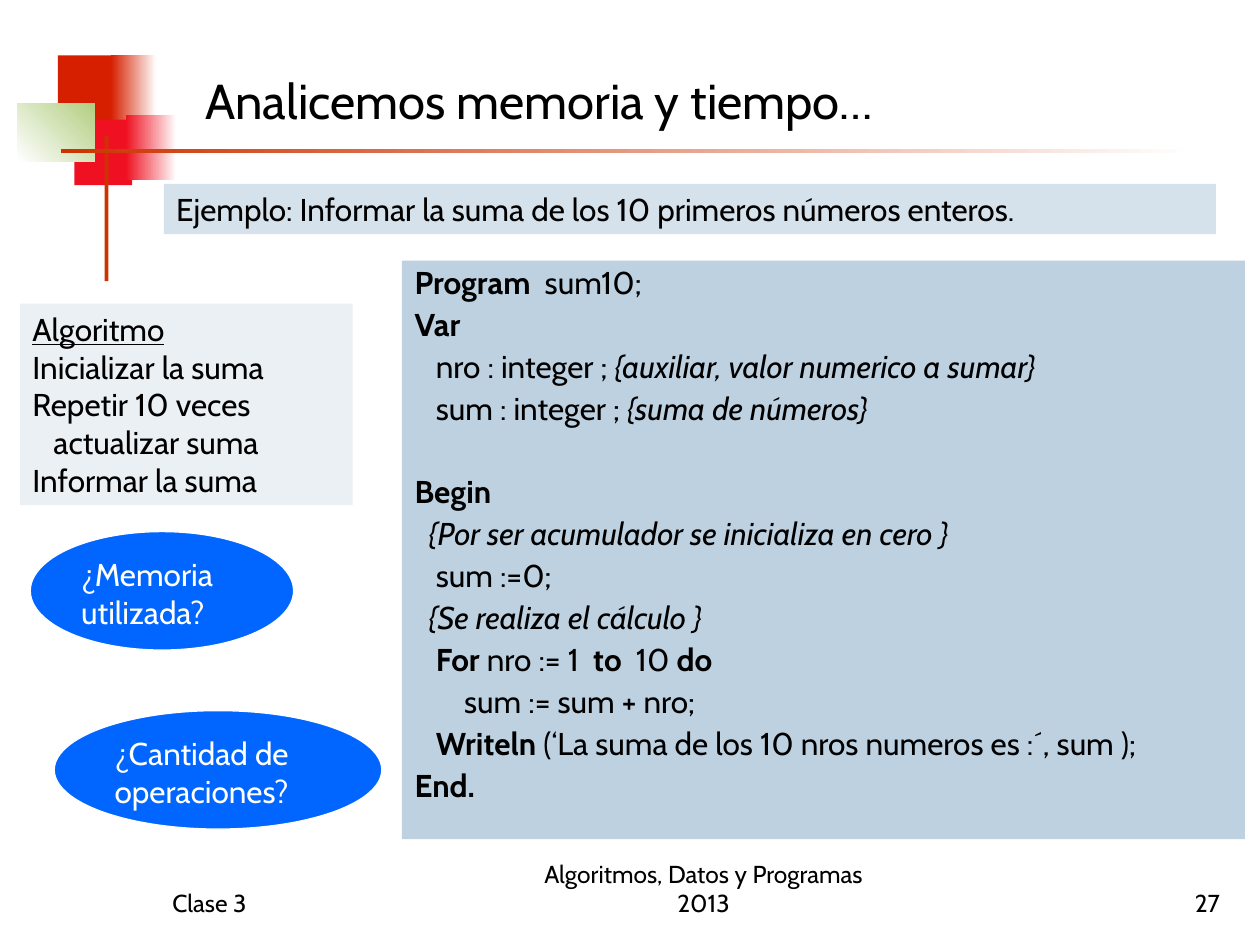
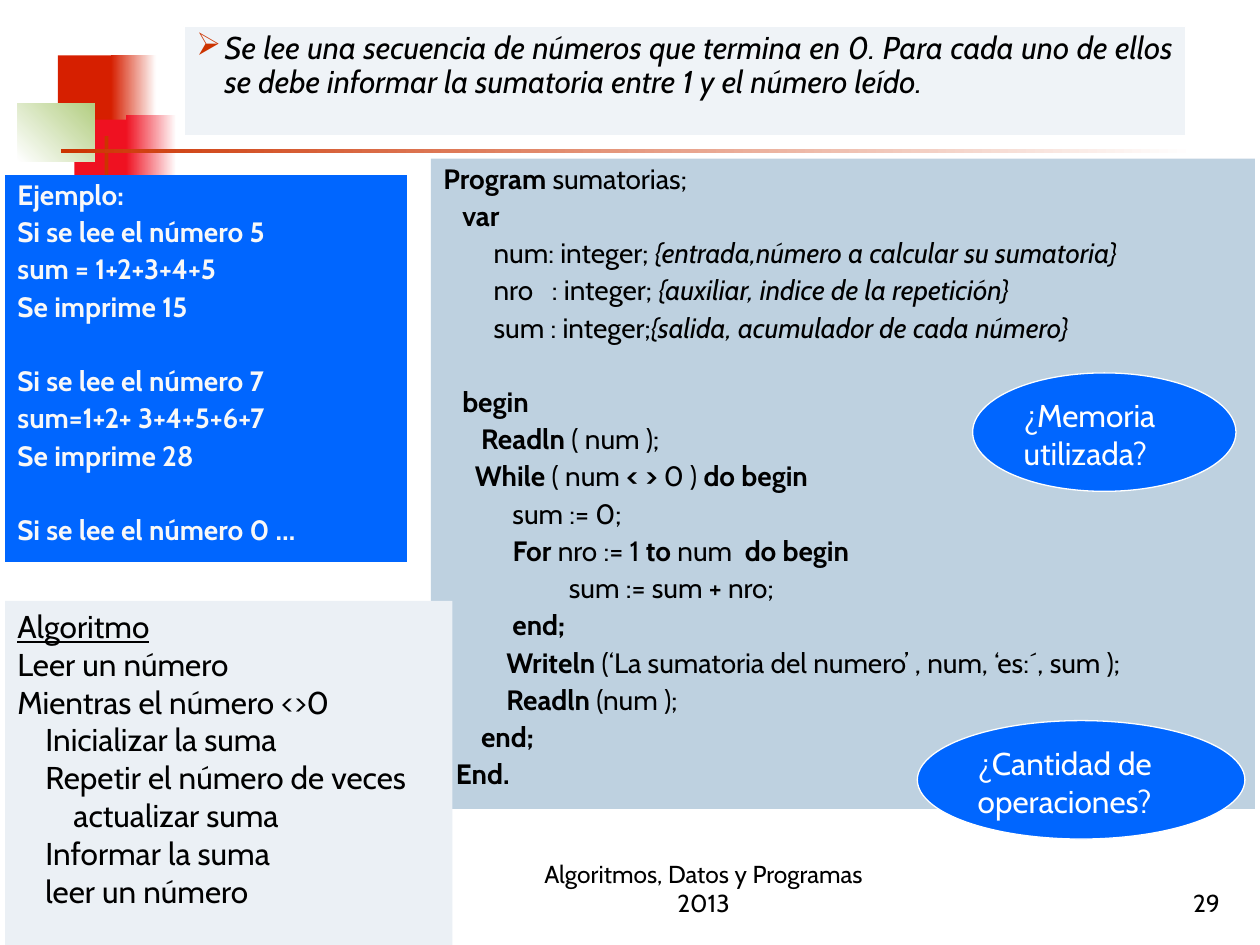
from pptx import Presentation
from pptx.dml.color import RGBColor
from pptx.enum.shapes import MSO_SHAPE as Shape
from pptx.enum.text import MSO_ANCHOR as Anchor, MSO_AUTO_SIZE as AutoSize, PP_ALIGN as Align
from pptx.oxml.ns import qn
from pptx.util import Pt
from lxml.etree import SubElement

FONT = "Cabin"
COLORS = {
    "black": "000000", "white": "FFFFFF", "off_white": "F8F8F8",
    "orange_red": "D61F00", "red": "EF1121", "green": "B3CE82", "rust": "CC3300",
    "code": "BED1E0", "example": "D5E1EB", "algorithm": "EBF0F5",
    "statement": "EFF3F7", "blue": "0066FF",
}
RGB = {name: RGBColor.from_string(value) for name, value in COLORS.items()}

# Left, top, width, height, gradient start, gradient end (None for a plain fill), angle
DECORATIONS = [
    (33.1, 31.7, 34.6, 37.4, "orange_red", None, 0),
    (63.4, 31.7, 25.9, 37.4, "orange_red", "white", 0),
    (42.5, 68.4, 33.1, 37.4, "red", None, 0),
    (72, 65.5, 28.8, 37.4, "red", "white", 0),
    (10.1, 59, 43.9, 33.1, "white", "green", 45),
    (59.8, 77.8, 2.2, 82.8, "rust", None, 0),
    (34.6, 85, 648, 2.2, "rust", "white", 0),
]
FOOTER_TOP, FOOTER_HEIGHT = 491.8, 36
COURSE = "Algoritmos, Datos y Programas 2013"

SUM_PROGRAM = """*Program*  sum10;
*Var*
   nro : integer ; *{auxiliar, valor numerico a sumar}*
   sum : integer ; *{suma de números}*

*Begin*
  *{Por ser acumulador se inicializa en cero }*
   sum :=0;
  *{Se realiza el cálculo }*
   *For* nro := 1  *to*  10 *do*
       sum := sum + nro;
   *Writeln* (‘La suma de los 10 nros numeros es :´, sum );
*End.*"""

SUMMATIONS_PROGRAM = """*Program* sumatorias;
*   var*
        num: integer; *{entrada,número a calcular su sumatoria}*
        nro   : integer; *{auxiliar, indice de la repetición}*
        sum : integer;*{salida, acumulador de cada número}*

   *begin*
*      Readln* ( num );
     *While* ( num* < > *0 ) *do begin*
           sum := 0;
           *For* nro := 1 *to* num  *do begin*
                    sum := sum + nro;
*           end;*
          *Writeln* (‘La sumatoria del numero’ , num, ‘es:´, sum );
          *Readln* (num );
*      end;*
  *End.*"""

SUM_ALGORITHM = """Algoritmo
Inicializar la suma
Repetir 10 veces
   actualizar suma
Informar la suma"""

SUMMATIONS_ALGORITHM = """Algoritmo
Leer un número
Mientras el número <>0
    Inicializar la suma
    Repetir el número de veces
        actualizar suma
    Informar la suma
    leer un número"""

EXAMPLES = """Ejemplo:
Si se lee el número 5
sum = 1+2+3+4+5
Se imprime 15

Si se lee el número 7
sum=1+2+ 3+4+5+6+7
Se imprime 28

Si se lee el número 0 …"""

STATEMENT = ("Se lee una secuencia de números que termina en 0. Para cada uno de ellos "
             "se debe informar la sumatoria entre 1 y el número leído.")


def write(frame, text, size=18, color="black", align=Align.LEFT, anchor=Anchor.TOP,
          spaced=False, code=False, **font_format):
    """Write lines; *...* marks keywords (bold) or {comments} (italic) in code.

    An empty line becomes space before the next paragraph. Outside code,
    leading spaces become a left indent.
    """
    frame.word_wrap = True
    frame.auto_size = AutoSize.NONE
    frame.vertical_anchor = anchor
    para = frame.paragraphs[0]
    for block_index, block in enumerate(text.split("\n\n")):
        for line_index, line in enumerate(block.split("\n")):
            first = block_index == line_index == 0
            if not first:
                para = frame.add_paragraph()
            indent = 0 if code else 4 * (len(line) - len(line.lstrip()))
            properties = para._p.get_or_add_pPr()
            properties.set("marL", str(Pt(indent)))
            properties.set("indent", "0")
            gap = size * 4 / 3 if block_index and line_index == 0 else 0
            para.space_before = Pt(0 if first else gap + (size / 4 if spaced else 0))
            para.line_spacing = 0.9 if spaced else 1.0
            SubElement(properties, qn("a:buNone"))
            para.alignment = align
            pieces = line.split("*") if code else [line.lstrip()]
            for piece_index, piece in enumerate(pieces):
                if not piece:
                    continue
                span = para.add_run()
                span.text = piece
                comment = piece.startswith("{")
                marked = piece_index % 2 == 1
                values = {"name": FONT, "size": Pt(size), "bold": marked and not comment,
                          "italic": marked and comment, **font_format}
                for name, value in values.items():
                    setattr(span.font, name, value)
                span.font.color.rgb = RGB[color]


def add_box(page, bounds, fill, kind=Shape.RECTANGLE, line=None):
    box = page.shapes.add_shape(kind, *map(Pt, bounds))
    box.shadow.inherit = False
    box.fill.solid()
    box.fill.fore_color.rgb = RGB[fill]
    if line:
        box.line.color.rgb = RGB[line]
        box.line.width = Pt(0.75)
    else:
        box.line.fill.background()
    return box


deck = Presentation()
deck.slide_width, deck.slide_height = Pt(720), Pt(540)
layout = deck.slide_layouts[1]
sum_page, summations_page = [deck.slides.add_slide(layout) for _ in range(2)]

# Shared decoration, placed on the master
for *bounds, start, end, angle in DECORATIONS:
    band = add_box(sum_page, bounds, start)
    if end:
        band.fill.gradient()
        band.fill.gradient_angle = angle
        for stop, name in zip(band.fill.gradient_stops, (start, end)):
            stop.color.rgb = RGB[name]
    deck.slide_master.element.cSld.spTree.append(band.element)

# What both slides hold: program, algorithm, questions and footers
PAGES = [
    {"page": sum_page, "number": "27", "lesson": "Clase 3",
     "program": SUM_PROGRAM, "program_size": 18, "program_at": (229.7, 149, 481.7, 330.5),
     "algorithm": SUM_ALGORITHM, "algorithm_at": (11.5, 173.5, 190.1, 115.2),
     "memory_at": (17.3, 303.8), "operations_at": (31, 406.1)},
    {"page": summations_page, "number": "29", "lesson": None,
     "program": SUMMATIONS_PROGRAM, "program_size": 16, "program_at": (246.2, 90.7, 470.9, 371.5),
     "algorithm": SUMMATIONS_ALGORITHM, "algorithm_at": (2.9, 343.4, 255.6, 196.6),
     "memory_at": (555.8, 213.1), "operations_at": (524.2, 411.8)},
]
for content in PAGES:
    page = content["page"]
    program = page.placeholders[1]
    for name, value in zip(("left", "top", "width", "height"), content["program_at"]):
        setattr(program, name, Pt(value))
    program.fill.solid()
    program.fill.fore_color.rgb = RGB["code"]
    write(program.text_frame, content["program"], content["program_size"],
          align=Align.JUSTIFY, spaced=True, code=True)

    algorithm = add_box(page, content["algorithm_at"], "algorithm")
    write(algorithm.text_frame, content["algorithm"])
    algorithm.text_frame.paragraphs[0].runs[0].font.underline = True

    for question, place, width in [
        ("¿Memoria utilizada?", content["memory_at"], 150.5),
        ("¿Cantidad de operaciones?", content["operations_at"], 187.2),
    ]:
        bubble = add_box(page, (*place, width, 67.7), "blue", Shape.OVAL, "white")
        write(bubble.text_frame, question, color="white")

    for text, left, width, align in [
        (content["lesson"], 91.4, 149.8, Align.LEFT),
        (COURSE, 288, 228.2, Align.CENTER),
        (content["number"], 554.4, 149.8, Align.RIGHT),
    ]:
        if text:
            footer = page.shapes.add_textbox(Pt(left), Pt(FOOTER_TOP), Pt(width), Pt(FOOTER_HEIGHT))
            write(footer.text_frame, text, 14, align=align, anchor=Anchor.BOTTOM)

# First slide: title and example
title = sum_page.shapes.title
for name, value in {"left": 110.2, "top": 11.5, "width": 534.2, "height": 66.2}.items():
    setattr(title, name, Pt(value))
write(title.text_frame, "Analicemos memoria y tiempo…", 28, anchor=Anchor.BOTTOM)
example = add_box(sum_page, (93.6, 105.1, 601.2, 28.8), "example")
write(example.text_frame, "Ejemplo: Informar la suma de los 10 primeros números enteros.")

# Second slide: bulleted statement and examples
unused_title = summations_page.shapes.title.element
unused_title.getparent().remove(unused_title)
statement = add_box(summations_page, (105.1, 15.1, 572.4, 62.6), "statement", line="white")
write(statement.text_frame, STATEMENT, align=Align.JUSTIFY, spaced=True, italic=True)
properties = statement.text_frame.paragraphs[0]._p.get_or_add_pPr()
properties.set("marL", str(Pt(16.2)))
properties.set("indent", str(-Pt(16.2)))
properties.remove(properties.find(qn("a:buNone")))
bullet_color = SubElement(properties, qn("a:buClr"))
SubElement(bullet_color, qn("a:srgbClr"), val=COLORS["rust"])
SubElement(properties, qn("a:buChar"), char="➢")

examples = add_box(summations_page, (2.9, 100.1, 229.7, 221), "blue")
write(examples.text_frame, EXAMPLES, 16, "off_white", Align.JUSTIFY, spaced=True, bold=True)

deck.save("out.pptx")
